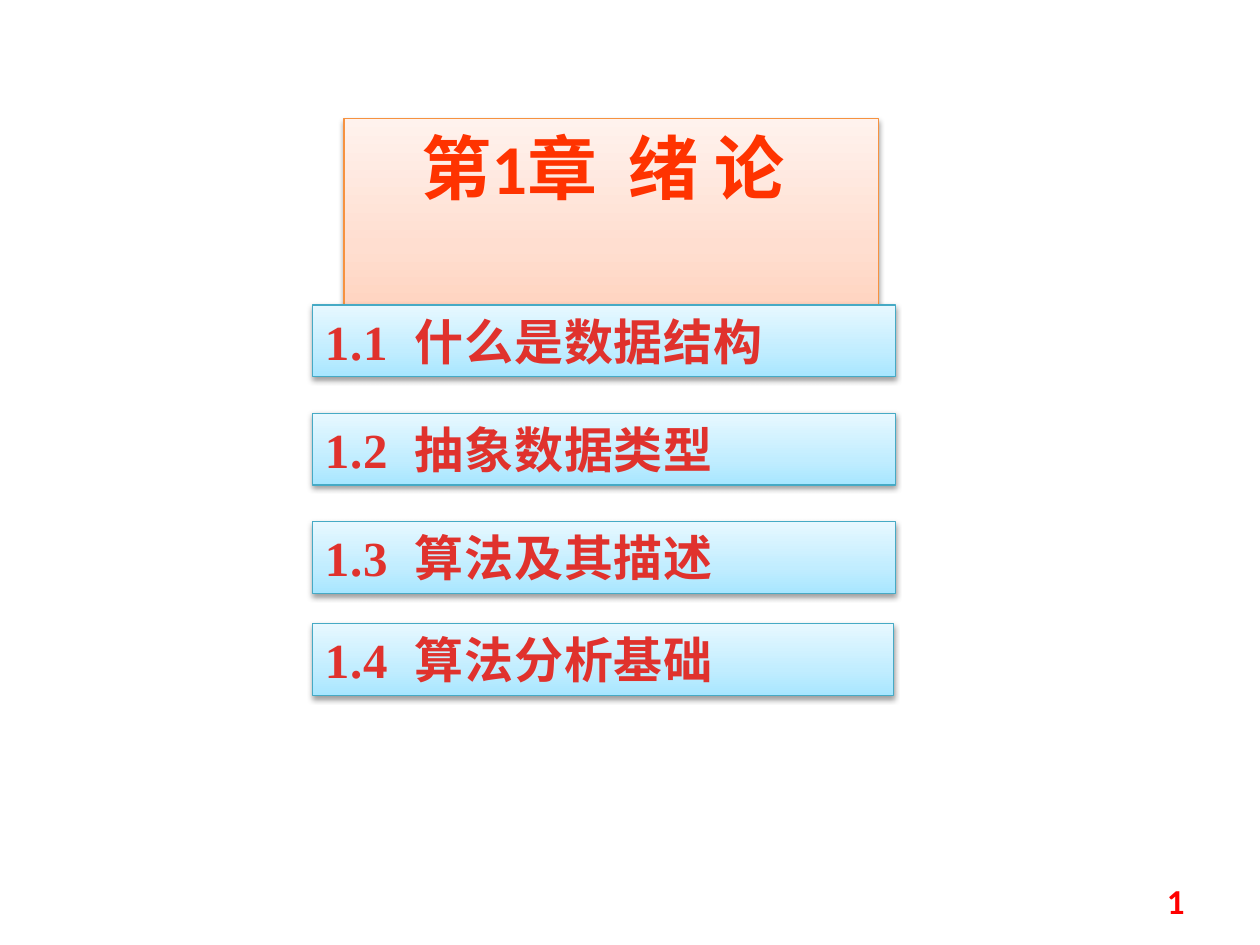
from dataclasses import dataclass

from lxml import etree
from pptx import Presentation
from pptx.dml.color import RGBColor
from pptx.enum.shapes import MSO_SHAPE
from pptx.enum.text import MSO_ANCHOR, MSO_AUTO_SIZE, PP_ALIGN
from pptx.oxml import parse_xml
from pptx.oxml.ns import qn
from pptx.slide import Slide
from pptx.util import Inches, Pt

RECTANGLE = MSO_SHAPE.RECTANGLE
TOP, MIDDLE = MSO_ANCHOR.TOP, MSO_ANCHOR.MIDDLE
LEFT, CENTER, RIGHT = PP_ALIGN.LEFT, PP_ALIGN.CENTER, PP_ALIGN.RIGHT
GROW, FIXED = MSO_AUTO_SIZE.SHAPE_TO_FIT_TEXT, MSO_AUTO_SIZE.NONE
TITLE_ONLY = 5
CELL = Inches(0.1)
DRAWING_NS = "http://schemas.openxmlformats.org/drawingml/2006/main"
SHADOW = (
    f'<a:effectLst xmlns:a="{DRAWING_NS}"><a:outerShdw blurRad="40000" dist="20000" '
    'dir="5400000" rotWithShape="0"><a:srgbClr val="000000"><a:alpha val="38000"/>'
    "</a:srgbClr></a:outerShdw></a:effectLst>"
)


def rgb(value):
    return RGBColor.from_string(value)


def apply(target, values):
    for name, value in values.items():
        setattr(target, name, value)


def paint_gradient(fill, owner, stops, angle):
    fill.gradient()
    fill.gradient_angle = angle
    stop_list = owner.find(qn("a:gradFill")).find(qn("a:gsLst"))
    for default_stop in list(stop_list):
        stop_list.remove(default_stop)
    for percent, value in stops:
        stop = etree.SubElement(stop_list, qn("a:gs"), pos=str(percent * 1000))
        etree.SubElement(stop, qn("a:srgbClr"), val=value)


@dataclass
class ChapterSlide:
    """Draws chapter headings on a grid of 100 columns by 75 rows."""

    slide: Slide
    title_panel = ([(0, "FFD2BD"), (35, "FFDED0"), (100, "FFF2ED")], "F69240")
    section_panel = ([(0, "A7E6FF"), (35, "C1EDFF"), (100, "E7F8FF")], "46AAC5")
    section_ink = [(25, "E0322D"), (100, "A2201C")]
    title_font = {"name": "Calibri", "size": Pt(40), "bold": True}
    section_font = {"name": "Times New Roman", "size": Pt(28), "bold": True}
    number_font = {"name": "Calibri", "size": Pt(20), "bold": True}

    def place(self, cells):
        return [round(cell * CELL) for cell in cells]

    def panel(self, shape, look):
        stops, border = look
        properties = shape._element.spPr
        paint_gradient(shape.fill, properties, stops, 90)
        shape.line.color.rgb = rgb(border)
        shape.line.width = Pt(0.75)
        properties.append(parse_xml(SHADOW))

    def label(self, shape, text, font, align, anchor=TOP, fit=GROW):
        frame = shape.text_frame
        apply(frame, {"word_wrap": True, "auto_size": fit, "vertical_anchor": anchor})
        paragraph = frame.paragraphs[0]
        paragraph.alignment = align
        run = paragraph.add_run()
        run.text = text
        apply(run.font, font)
        return run

    def title(self, text, cells):
        heading = self.slide.shapes.title
        apply(heading, dict(zip(("left", "top", "width", "height"), self.place(cells))))
        self.panel(heading, self.title_panel)
        self.label(heading, text, self.title_font, CENTER).font.color.rgb = rgb("FF3300")

    def section(self, text, cells):
        bar = self.slide.shapes.add_shape(RECTANGLE, *self.place(cells))
        self.panel(bar, self.section_panel)
        run = self.label(bar, text, self.section_font, LEFT)
        run_properties = run._r.get_or_add_rPr()
        run_properties.set("spc", "50")
        paint_gradient(run.font.fill, run_properties, self.section_ink, 270)

    def page_number(self, text, cells):
        number = self.slide.shapes.add_textbox(*self.place(cells))
        run = self.label(number, text, self.number_font, RIGHT, MIDDLE, FIXED)
        run.font.color.rgb = rgb("FF0000")


def main():
    deck = Presentation()
    deck.slide_width, deck.slide_height = Inches(10), Inches(7.5)
    chapter = ChapterSlide(deck.slides.add_slide(deck.slide_layouts[TITLE_ONLY]))
    chapter.title("第1章  绪 论 ", (27.3, 9.4, 42.4, 7.7))
    sections = [
        ("1.1  什么是数据结构", 24.2, 46.3),
        ("1.2  抽象数据类型", 32.8, 46.3),
        ("1.3  算法及其描述", 41.4, 46.3),
        ("1.4  算法分析基础", 49.5, 46.1),
    ]
    for text, row, columns in sections:
        chapter.section(text, (24.8, row, columns, 5.7))
    chapter.page_number("1", (71.7, 69.5, 23.3, 4))
    deck.save("out.pptx")


if __name__ == "__main__":
    main()
